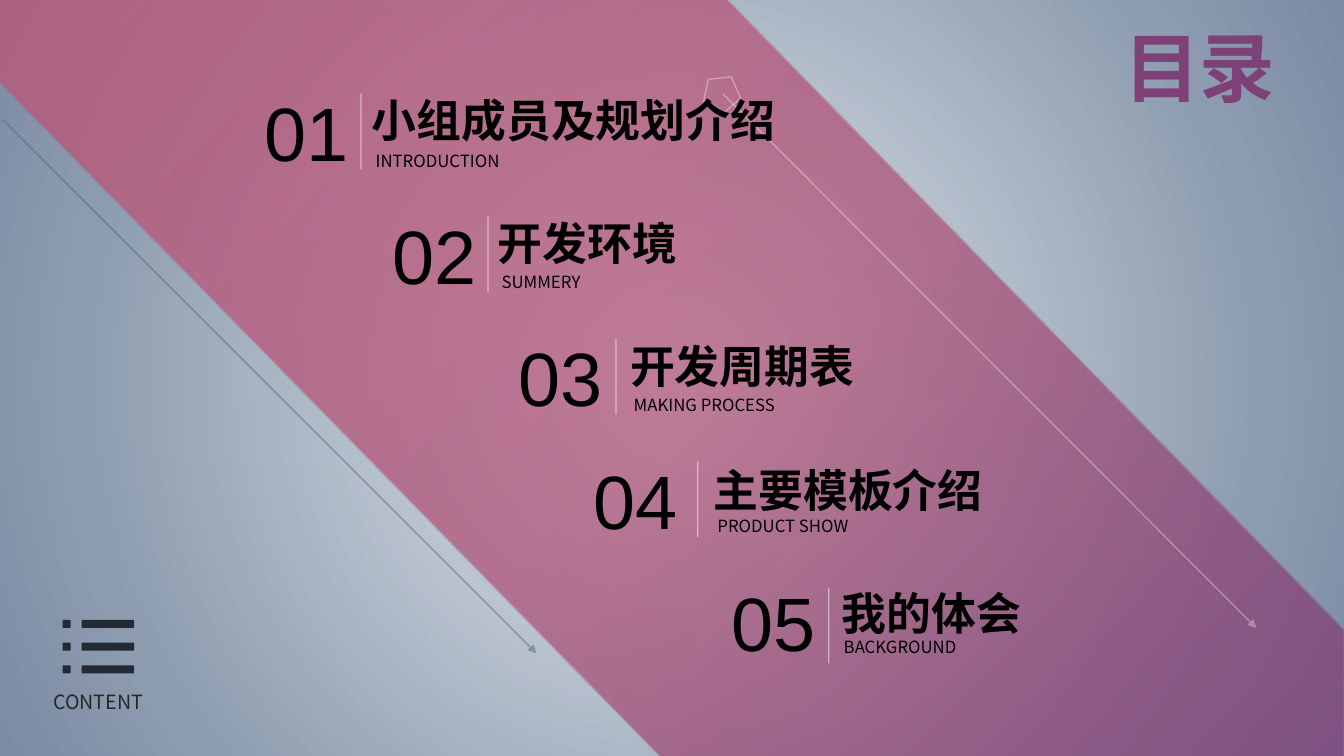
from lxml import etree
from pptx import Presentation
from pptx.dml.color import RGBColor
from pptx.enum.shapes import MSO_CONNECTOR, MSO_SHAPE
from pptx.enum.text import MSO_ANCHOR, MSO_AUTO_SIZE, PP_ALIGN
from pptx.oxml.ns import qn
from pptx.util import Inches, Pt

COLS, ROWS = 1333, 750
CELL = Inches(7.5) // ROWS
STRAIGHT = MSO_CONNECTOR.STRAIGHT
PENTAGON, ROUNDED = MSO_SHAPE.REGULAR_PENTAGON, MSO_SHAPE.ROUNDED_RECTANGLE
TOP, MIDDLE = MSO_ANCHOR.TOP, MSO_ANCHOR.MIDDLE
LEFT, CENTER = PP_ALIGN.LEFT, PP_ALIGN.CENTER
GROW = MSO_AUTO_SIZE.SHAPE_TO_FIT_TEXT
SANS, CJK = "Arial", "Noto Sans CJK SC"

COLORS = {
    "sky": "E4E9EF", "haze": "8C9BAE", "dusk": "7B8BA4",
    "plum": "7D4178", "berry": "AB4A70", "rose": "C54F71",
    "white": "FFFFFF", "slate": "536275", "icon": "222A35",
    "ink": "000000", "label": "262626",
}
BACKDROP = [(0, "sky", 100), (78, "haze", 100), (100, "dusk", 100)]
BAND_FILL = [(0, "plum", 77), (45, "berry", 68), (100, "rose", 68)]
BAND = [(0, 0), (721, 0), (COLS, 625), (COLS, ROWS), (655, ROWS), (0, 82)]

HEADING = {"size": Pt(54), "name": SANS, "bold": True}
NUMBER = {"size": Pt(54), "name": SANS}
TITLE = {"size": Pt(32), "name": SANS, "bold": True}
SUBTITLE = {"size": Pt(12), "name": CJK}
CAPTION = {"size": Pt(14), "name": CJK}

# number, (number x, y), (divider x, y), title, (x, y, w), subtitle, (x, y, w)
ITEMS = [
    ("01", (229, 80), (358, 93), "小组成员及规划介绍", (359, 87, 477),
     " INTRODUCTION", (359, 145, 156)),
    ("02", (356, 202), (484, 215), "开发环境", (484, 209, 513),
     " SUMMERY", (484, 265, 110)),
    ("03", (481, 323), (611, 336), "开发周期表", (615, 331, 352),
     " MAKING PROCESS", (615, 387, 175)),
    ("04", (555, 445), (692, 458), "主要模板介绍", (698, 454, 337),
     " PRODUCT SHOW", (698, 507, 165)),
    ("05", (692, 566), (822, 583), "我的体会", (825, 576, 210),
     "BACKGROUND", (827, 627, 140)),
]


def cells(*values):
    """Convert grid cells to slide lengths."""
    return [v * CELL for v in values]


def add_node(parent, tag, **attrs):
    """Append a DrawingML element with the given attributes."""
    return etree.SubElement(parent, qn(tag), {k: str(v) for k, v in attrs.items()})


def set_radial(fill, element, stops, focus):
    """Give a fill a circular gradient around its focus rectangle."""
    fill.gradient()
    grad = element.find(".//" + qn("a:gradFill"))
    grad.clear()
    grad.set("rotWithShape", "1")
    stop_list = add_node(grad, "a:gsLst")
    for pos, color, alpha in stops:
        stop = add_node(stop_list, "a:gs", pos=pos * 1000)
        clr = add_node(stop, "a:srgbClr", val=COLORS[color])
        add_node(clr, "a:alpha", val=alpha * 1000)
    circle = add_node(grad, "a:path", path="circle")
    sides = {side: share * 1000 for side, share in zip("ltrb", focus)}
    add_node(circle, "a:fillToRect", **sides)


def set_line(sp, color, alpha):
    """Draw a one-point translucent line and return its element."""
    sp.line.color.rgb = RGBColor.from_string(COLORS[color])
    sp.line.width = Pt(1)
    ln = sp.line._get_or_add_ln()
    add_node(ln.find(".//" + qn("a:srgbClr")), "a:alpha", val=alpha * 1000)
    return ln


def add_line(s, start, end, color, alpha, arrow=False):
    """Add a straight line, with an arrowhead at its end if asked."""
    c = s.shapes.add_connector(STRAIGHT, *cells(*start, *end))
    ln = set_line(c, color, alpha)
    if arrow:
        add_node(ln, "a:tailEnd", type="triangle")
    add_node(c._element.spPr, "a:effectLst")


def add_text(s, text, box, style, color, align=LEFT, anchor=TOP, wrap=True):
    """Add a one-paragraph text box."""
    tf = s.shapes.add_textbox(*cells(*box)).text_frame
    frame = {"word_wrap": wrap, "vertical_anchor": anchor, "auto_size": GROW}
    for key, value in frame.items():
        setattr(tf, key, value)
    p = tf.paragraphs[0]
    p.alignment = align
    r = p.add_run()
    r.text = text
    for key, value in style.items():
        setattr(r.font, key, value)
    r.font.color.rgb = RGBColor.from_string(COLORS[color])
    add_node(r._r.get_or_add_rPr(), "a:ea", typeface=CJK)


def add_band(s):
    """Add the diagonal band across the slide."""
    builder = s.shapes.build_freeform(*BAND[0], scale=CELL)
    builder.add_line_segments(BAND[1:], close=True)
    sp = builder.convert_to_shape()
    sp.shadow.inherit = False
    set_radial(sp.fill, sp._element, BAND_FILL, (100, 100, 0, 0))
    sp.line.fill.background()


def add_pentagon(s, box):
    """Add the tilted pentagon outline."""
    sp = s.shapes.add_shape(PENTAGON, *cells(*box))
    sp.shadow.inherit = False
    sp.rotation = 30
    sp.fill.background()
    set_line(sp, "white", 32)


def add_item(s, number, number_at, divider_at, title, title_at, sub, sub_at):
    """Add one contents entry: title, subtitle, number and divider."""
    add_text(s, title, (*title_at, 64), TITLE, "ink", anchor=MIDDLE)
    add_text(s, sub, (*sub_at, 30), SUBTITLE, "ink", wrap=False)
    add_text(s, number, (*number_at, 150, 101), NUMBER, "ink", CENTER, MIDDLE)
    x, y = divider_at
    add_line(s, (x, y), (x, y + 75), "white", 49)


def add_list_icon(s, top, pitch):
    """Add three bullets with bars."""
    for row in range(3):
        for left, width in ((62, 8), (81, 52)):
            box = cells(left, top + row * pitch, width, 8)
            sp = s.shapes.add_shape(ROUNDED, *box)
            sp.shadow.inherit = False
            sp.adjustments[0] = 0.12
            sp.fill.solid()
            sp.fill.fore_color.rgb = RGBColor.from_string(COLORS["icon"])
            sp.line.fill.background()


def main():
    """Build the contents slide."""
    prs = Presentation()
    prs.slide_width, prs.slide_height = cells(COLS, ROWS)
    s = prs.slides.add_slide(prs.slide_layouts[6])
    set_radial(s.background.fill, s.element, BACKDROP, (50, 50, 50, 50))
    add_band(s)
    add_text(s, "目录", (1063, 15, 254, 101), HEADING, "plum", CENTER, MIDDLE)
    add_text(s, "CONTENT", (33, 680, 129, 34), CAPTION, "label", CENTER)
    add_line(s, (717, 93), (1246, 623), "white", 32, arrow=True)
    add_pentagon(s, (698, 74, 37, 35))
    for item in ITEMS:
        add_item(s, *item)
    add_line(s, (3, 119), (532, 648), "slate", 50, arrow=True)
    add_list_icon(s, 615, 22.5)
    prs.save("out.pptx")


if __name__ == "__main__":
    main()
